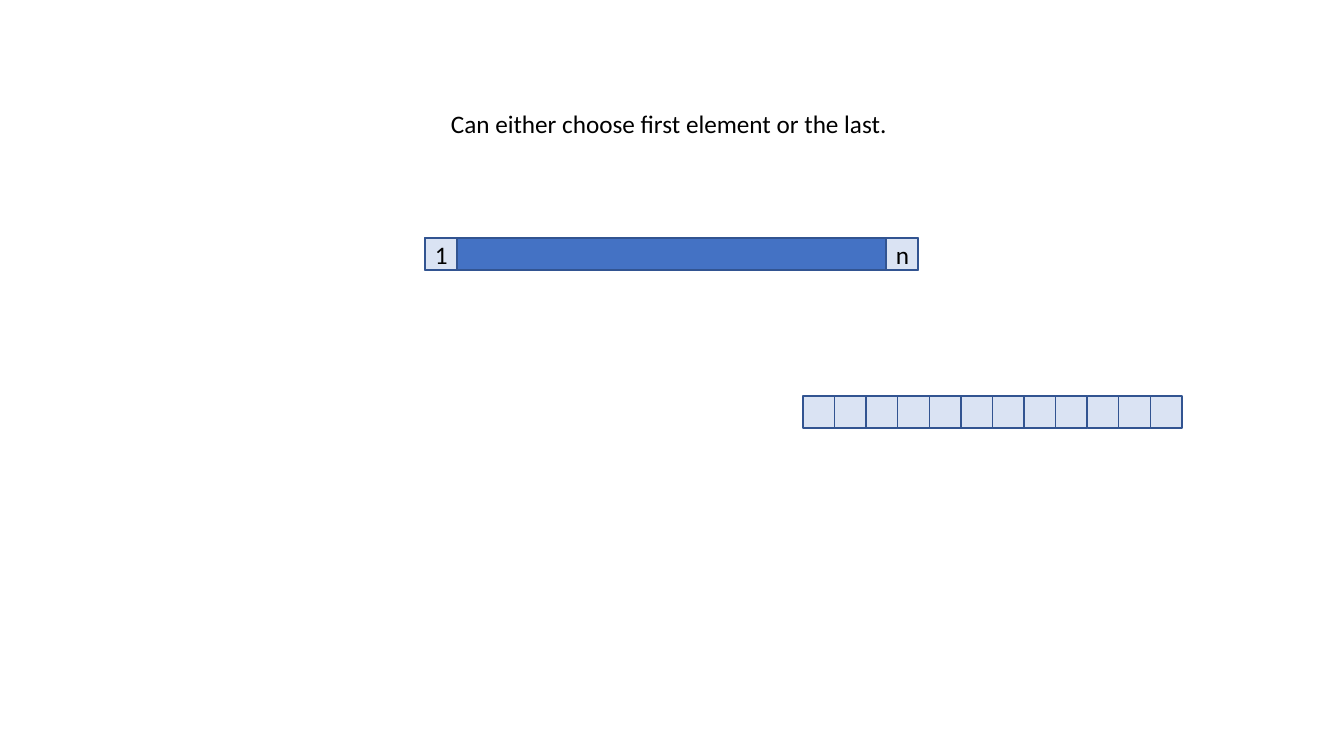
from pptx import Presentation
from pptx.dml.color import RGBColor
from pptx.enum.shapes import MSO_SHAPE as SHAPE
from pptx.enum.text import MSO_ANCHOR as ANCHOR, MSO_AUTO_SIZE as AUTO, PP_ALIGN as ALIGN
from pptx.util import Emu, Pt

SLIDE_W, SLIDE_H = 1344, 756
SCALE = 12192000 / SLIDE_W  # EMU per pixel

BLUE = RGBColor(0x44, 0x72, 0xC4)
PALE = RGBColor(0xDA, 0xE3, 0xF3)
EDGE = RGBColor(0x32, 0x54, 0x91)
BLACK = RGBColor(0, 0, 0)

FONT = {"name": "Calibri", "size": Pt(18)}
CELL_TEXT = {"vertical_anchor": ANCHOR.MIDDLE, "word_wrap": True}
CAPTION_TEXT = {"word_wrap": False, "auto_size": AUTO.SHAPE_TO_FIT_TEXT}


def px(n):
    return Emu(round(n * SCALE))


def set_attrs(target, values):
    for name, value in values.items():
        setattr(target, name, value)


def write(tf, text, frame_format, align):
    set_attrs(tf, frame_format)
    p = tf.paragraphs[0]
    p.alignment = align
    r = p.add_run()
    r.text = text
    set_attrs(r.font, FONT)
    r.font.color.rgb = BLACK


def add_box(shapes, left, top, width, height, fill=PALE, text=None):
    sp = shapes.add_shape(SHAPE.RECTANGLE, *map(px, (left, top, width, height)))
    sp.shadow.inherit = False
    sp.fill.solid()
    sp.fill.fore_color.rgb = fill
    sp.line.color.rgb = EDGE
    sp.line.width = Pt(1)
    if text:
        write(sp.text_frame, text, CELL_TEXT, ALIGN.CENTER)


def add_caption(s, left, top, width, height, text):
    sp = s.shapes.add_textbox(*map(px, (left, top, width, height)))
    write(sp.text_frame, text, CAPTION_TEXT, ALIGN.LEFT)


def add_array_bar(s, left, top, width, size):
    """A long array whose two end elements are marked."""
    shapes = s.shapes.add_group_shape().shapes
    add_box(shapes, left, top, width, size, BLUE)
    add_box(shapes, left + width - size, top, size, size, text="n")
    add_box(shapes, left, top, size, size, text="1")


def add_cell_row(s, left, top, width, height, count):
    """A row of equal adjoining cells."""
    pitch = width / count
    for i in range(count):
        add_box(s.shapes, left + i * pitch, top, pitch, height)


def main():
    prs = Presentation()
    prs.slide_width, prs.slide_height = px(SLIDE_W), px(SLIDE_H)
    s = prs.slides.add_slide(prs.slide_layouts[6])

    # Array with its first and last element
    add_array_bar(s, 425, 238, 493, 32)
    add_caption(s, 441, 103, 462, 40, "Can either choose first element or the last.")

    # Row of single elements
    add_cell_row(s, 803, 396, 379, 32, count=12)

    prs.save("out.pptx")


main()
